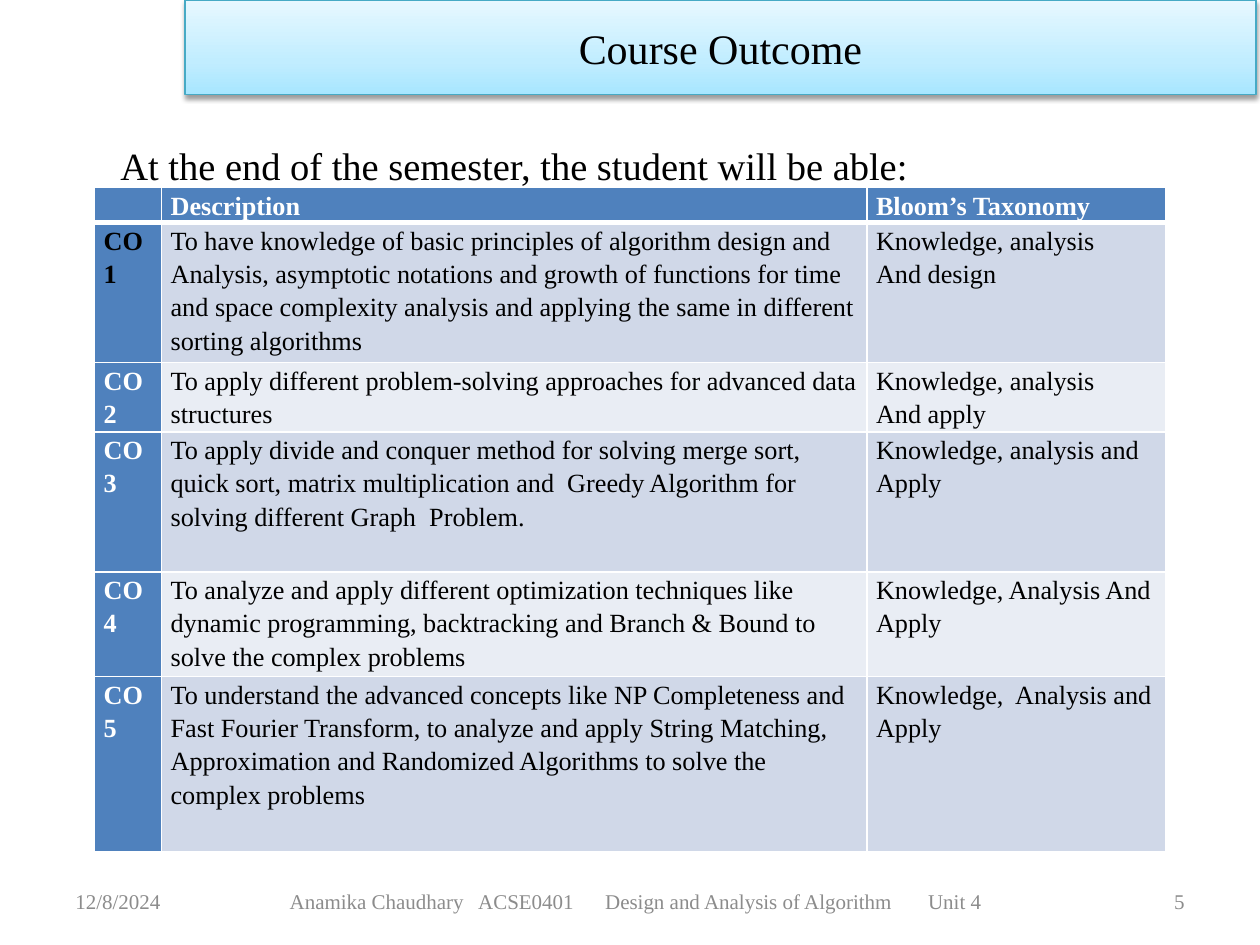
import dataclasses

import pptx
import pptx.dml.color
import pptx.enum.shapes
import pptx.enum.text
import pptx.oxml
import pptx.oxml.ns
import pptx.util

Cm = pptx.util.Cm
Pt = pptx.util.Pt
Align = pptx.enum.text.PP_ALIGN
Anchor = pptx.enum.text.MSO_ANCHOR
namespace = pptx.oxml.ns.nsdecls("a")


@dataclasses.dataclass(frozen=True)
class Theme:
    font: str = "Times New Roman"
    ink: str = "000000"
    light: str = "FFFFFF"
    muted: str = "8C8C8C"
    header: str = "4F81BD"
    bands: tuple = ("D0D8E8", "E9EDF4")
    banner_line: str = "46AAC5"
    banner_stops: tuple = ((0, "A7E6FF"), (35, "C1EDFF"), (100, "E7F8FF"))
    title: int = 24
    lead: int = 22
    table: int = 15
    footer: int = 12


theme = Theme()


def write_text(frame, text, size, color=theme.ink, bold=False, align=Align.LEFT,
               spacing=None, after=None, anchor=Anchor.TOP, tabs=()):
    frame.word_wrap = True
    frame.vertical_anchor = anchor
    for index, line in enumerate(text.split("\n")):
        para = frame.add_paragraph() if index else frame.paragraphs[0]
        if tabs:
            stops = "".join(f'<a:tab pos="{Cm(stop)}" algn="l"/>' for stop in tabs)
            para._p.get_or_add_pPr().append(
                pptx.oxml.parse_xml(f"<a:tabLst {namespace}>{stops}</a:tabLst>"))
        para.alignment = align
        para.line_spacing = spacing
        para.space_after = after
        span = para.add_run()
        span.text = line
        span.font.name = theme.font
        span.font.size = Pt(size)
        span.font.bold = bold
        span.font.color.rgb = pptx.dml.color.RGBColor.from_string(color)


deck = pptx.Presentation()
deck.slide_width = Cm(25.4)
deck.slide_height = Cm(19.05)
page = deck.slides.add_slide(deck.slide_layouts[6])

rows = [
    ("", "Description", "Bloom’s Taxonomy"),
    ("CO1", "To have knowledge of basic principles of algorithm design and Analysis, "
            "asymptotic notations and growth of functions for time and space complexity "
            "analysis and applying the same in different sorting algorithms",
     "Knowledge, analysis\nAnd design"),
    ("CO2", "To apply different problem-solving approaches for advanced data structures",
     "Knowledge, analysis\nAnd apply"),
    ("CO3", "To apply divide and conquer method for solving merge sort, quick sort, matrix "
            "multiplication and  Greedy Algorithm for solving different Graph  Problem.",
     "Knowledge, analysis and Apply"),
    ("CO4", "To analyze and apply different optimization techniques like dynamic programming, "
            "backtracking and Branch & Bound to solve the complex problems",
     "Knowledge, Analysis And Apply"),
    ("CO5", "To understand the advanced concepts like NP Completeness and Fast Fourier "
            "Transform, to analyze and apply String Matching, Approximation and Randomized "
            "Algorithms to solve the complex problems",
     "Knowledge,  Analysis and Apply"),
]
widths = [1.35, 14.22, 6.02]
heights = [0.71, 2.82, 1.4, 2.82, 2.11, 3.53]

outcomes = page.shapes.add_table(len(rows), len(widths), Cm(1.91), Cm(3.78),
                                 Cm(sum(widths)), Cm(sum(heights))).table
for column, width in zip(outcomes.columns, widths):
    column.width = Cm(width)
for row, height in zip(outcomes.rows, heights):
    row.height = Cm(height)

for row_index, texts in enumerate(rows):
    for column_index, text in enumerate(texts):
        cell = outcomes.cell(row_index, column_index)
        is_heading = row_index == 0 or column_index == 0
        cell.margin_left = cell.margin_right = Cm(0.18)
        cell.margin_top = cell.margin_bottom = 0
        if text:
            color = theme.light if is_heading and text != "CO1" else theme.ink
            write_text(cell.text_frame, text, theme.table, color=color,
                       bold=is_heading, spacing=1.15)
        else:
            ending = cell.text_frame.paragraphs[0]._p.get_or_add_endParaRPr()
            ending.set("sz", str(theme.table * 100))
        cell.fill.solid()
        fill = theme.header if is_heading else theme.bands[(row_index - 1) % 2]
        cell.fill.fore_color.rgb = pptx.dml.color.RGBColor.from_string(fill)
        for position, side in enumerate("LRTB"):
            is_thick = (row_index, side) in ((0, "B"), (1, "T"))
            border = pptx.oxml.parse_xml(
                f'<a:ln{side} {namespace} w="{Pt(3 if is_thick else 1)}"><a:solidFill>'
                f'<a:srgbClr val="{theme.light}"/></a:solidFill></a:ln{side}>')
            cell._tc.get_or_add_tcPr().insert(position, border)

date_box = page.shapes.add_textbox(Cm(1.27), Cm(17.65), Cm(5.93), Cm(1.02))
write_text(date_box.text_frame, "12/8/2024", theme.footer, color=theme.muted,
           anchor=Anchor.MIDDLE)

course_box = page.shapes.add_textbox(Cm(4.7), Cm(17.65), Cm(16.26), Cm(1.02))
course_box.text_frame.margin_left = Cm(1.14)
write_text(course_box.text_frame,
           "Anamika Chaudhary\tACSE0401\tDesign and Analysis of Algorithm\tUnit 4",
           theme.footer, color=theme.muted, anchor=Anchor.MIDDLE,
           tabs=(3.8, 6.36, 12.87))

number_box = page.shapes.add_textbox(Cm(18.2), Cm(17.65), Cm(5.93), Cm(1.02))
write_text(number_box.text_frame, "5", theme.footer, color=theme.muted,
           align=Align.RIGHT, anchor=Anchor.MIDDLE)

banner = page.shapes.add_shape(pptx.enum.shapes.MSO_SHAPE.RECTANGLE,
                               Cm(3.73), 0, Cm(21.59), Cm(1.91))
banner.line.color.rgb = pptx.dml.color.RGBColor.from_string(theme.banner_line)
banner.line.width = Pt(0.75)
banner_stops = "".join(
    f'<a:gs pos="{position * 1000}"><a:srgbClr val="{color}"/></a:gs>'
    for position, color in theme.banner_stops)
banner._element.spPr.insert(2, pptx.oxml.parse_xml(
    f'<a:gradFill {namespace} rotWithShape="1"><a:gsLst>{banner_stops}</a:gsLst>'
    '<a:lin ang="16200000" scaled="0"/></a:gradFill>'))
banner._element.spPr.append(pptx.oxml.parse_xml(
    f'<a:effectLst {namespace}><a:outerShdw blurRad="{Pt(3.1)}" dist="{Pt(1.6)}" '
    f'dir="5400000" rotWithShape="0"><a:srgbClr val="{theme.ink}">'
    '<a:alpha val="38000"/></a:srgbClr></a:outerShdw></a:effectLst>'))
write_text(banner.text_frame, "Course Outcome", theme.title, align=Align.CENTER,
           anchor=Anchor.MIDDLE)

lead_box = page.shapes.add_textbox(Cm(2.18), Cm(2.59), Cm(21.59), Cm(1.27))
write_text(lead_box.text_frame, "At the end of the semester, the student will be able:",
           theme.lead, spacing=1.15, after=Pt(10))

deck.save("out.pptx")
